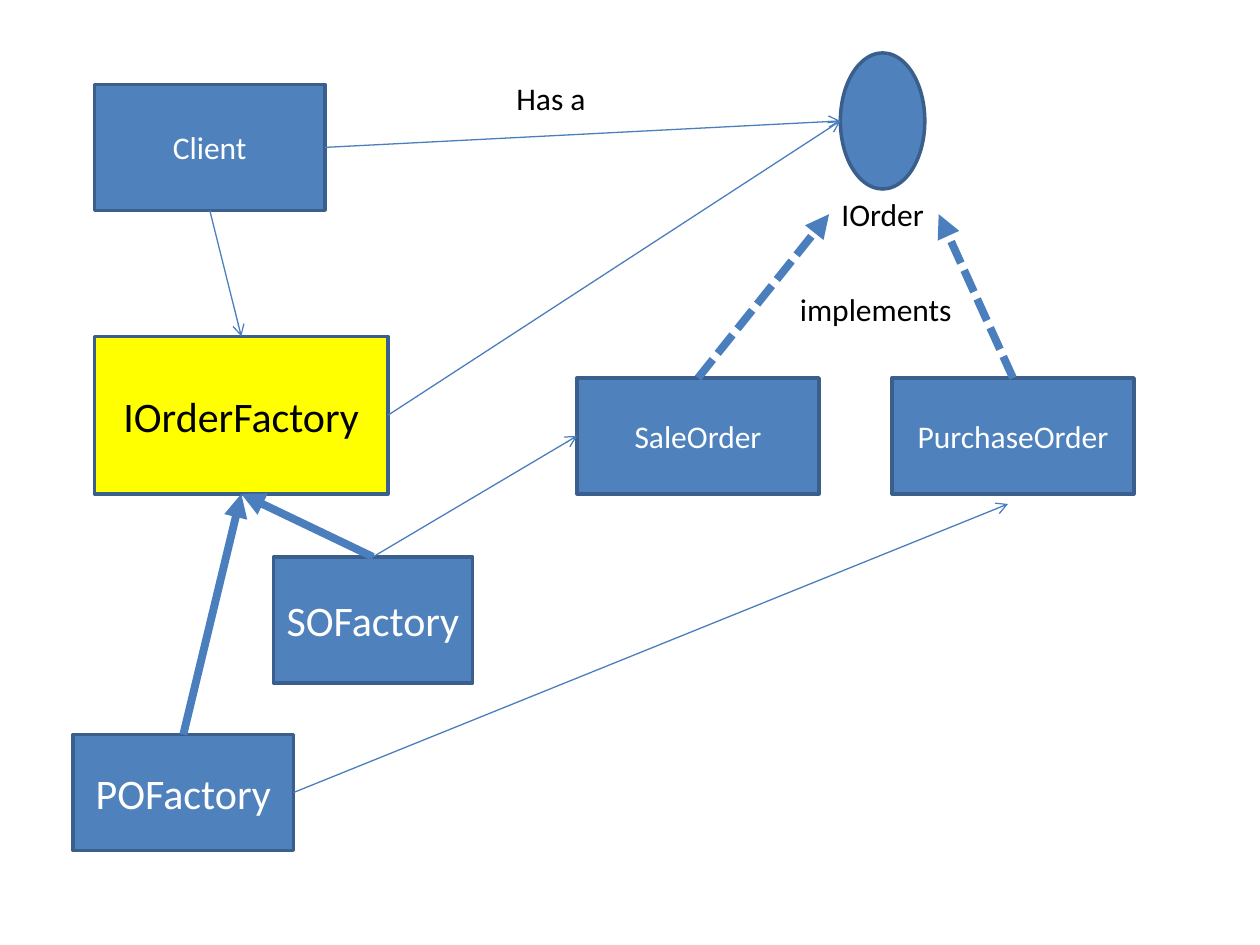
from dataclasses import dataclass

from lxml import etree
from pptx import Presentation
from pptx import util as u
from pptx.dml.color import RGBColor
from pptx.enum import dml, shapes, text
from pptx.oxml import ns


@dataclass(frozen=True)
class Theme:
    font: str = "Calibri"
    blue: str = "4F81BD"
    yellow: str = "FFFF00"
    outline: str = "3A5F8C"
    arrow: str = "4B7EBC"
    black: str = "000000"
    white: str = "FFFFFF"
    small: int = 18
    large: int = 24
    border: float = 2
    thin: float = 0.75
    thick: float = 4.5


theme = Theme()
TOP, LEFT, BOTTOM, RIGHT = range(4)


def write(frame, words, size=theme.small, color=theme.black,
          align=text.PP_ALIGN.LEFT, anchor=text.MSO_ANCHOR.TOP, wrap=True):
    """Put one formatted line of text into a text frame."""
    frame.word_wrap = wrap
    frame.vertical_anchor = anchor
    para = frame.paragraphs[0]
    para.alignment = align
    span = para.add_run()
    span.text = words
    span.font.name = theme.font
    span.font.size = u.Pt(size)
    span.font.color.rgb = RGBColor.from_string(color)


def connect(page, start, end, width=theme.thin, head="arrow", dash=None):
    """Draw an arrow; each end is a (box, side) pair or an (x, y) point in inches."""
    line = page.shapes.add_connector(shapes.MSO_CONNECTOR.STRAIGHT, 0, 0, 0, 0)
    if isinstance(start[0], str):
        line.begin_connect(boxes[start[0]], start[1])
    else:
        line.begin_x, line.begin_y = map(u.Inches, start)
    if isinstance(end[0], str):
        line.end_connect(boxes[end[0]], end[1])
    else:
        line.end_x, line.end_y = map(u.Inches, end)
    line.line.color.rgb = RGBColor.from_string(theme.arrow)
    line.line.width = u.Pt(width)
    if dash:
        line.line.dash_style = dash
    etree.SubElement(line.line._get_or_add_ln(), ns.qn("a:tailEnd"), type=head)
    etree.SubElement(line._element.spPr, ns.qn("a:effectLst"))


deck = Presentation()
deck.slide_width, deck.slide_height = u.Inches(10), u.Inches(7.5)
page = deck.slides.add_slide(deck.slide_layouts[6])

# Interface symbol and classes
rect, oval = shapes.MSO_SHAPE.RECTANGLE, shapes.MSO_SHAPE.OVAL
class_style = (theme.blue, theme.white, theme.small)
factory_style = (theme.blue, theme.white, theme.large)
abstract_style = (theme.yellow, theme.black, theme.large)
boxes = {}
for name, kind, place, (fill, color, size) in [
    ("", oval, (6.67, 0.42, 0.67, 1.08), class_style),
    ("SaleOrder", rect, (4.58, 3, 1.92, 0.92), class_style),
    ("PurchaseOrder", rect, (7.08, 3, 1.92, 0.92), class_style),
    ("Client", rect, (0.75, 0.67, 1.83, 1), class_style),
    ("IOrderFactory", rect, (0.75, 2.67, 2.33, 1.25), abstract_style),
    ("SOFactory", rect, (2.17, 4.42, 1.58, 1), factory_style),
    ("POFactory", rect, (0.58, 5.83, 1.75, 0.92), factory_style),
]:
    box = page.shapes.add_shape(kind, *map(u.Inches, place))
    box.shadow.inherit = False
    box.fill.solid()
    box.fill.fore_color.rgb = RGBColor.from_string(fill)
    box.line.color.rgb = RGBColor.from_string(theme.outline)
    box.line.width = u.Pt(theme.border)
    if name:
        write(box.text_frame, name, size=size, color=color,
              align=text.PP_ALIGN.CENTER, anchor=text.MSO_ANCHOR.MIDDLE)
        boxes[name] = box

# Labels
for words, left, top, width in [
    ("IOrder", 6.58, 1.5, 0.86),
    ("implements", 6.25, 2.25, 1.42),
    ("Has a", 4, 0.58, 0.76),
]:
    label = page.shapes.add_textbox(*map(u.Inches, (left, top, width, 0.4)))
    write(label.text_frame, words, wrap=False)
    label.text_frame.auto_size = text.MSO_AUTO_SIZE.SHAPE_TO_FIT_TEXT

# Uses and creates
interface = (6.67, 0.96)
for start, end in [
    (("Client", RIGHT), interface),
    (("Client", BOTTOM), ("IOrderFactory", TOP)),
    (("IOrderFactory", RIGHT), interface),
    (("SOFactory", TOP), ("SaleOrder", LEFT)),
    (("POFactory", RIGHT), (8, 4)),
]:
    connect(page, start, end)

# Implements and inherits
for name, end, dash in [
    ("SaleOrder", (6.58, 1.7), dml.MSO_LINE.SQUARE_DOT),
    ("PurchaseOrder", (7.45, 1.7), dml.MSO_LINE.SQUARE_DOT),
    ("SOFactory", ("IOrderFactory", BOTTOM), None),
    ("POFactory", ("IOrderFactory", BOTTOM), None),
]:
    connect(page, (name, TOP), end, width=theme.thick, head="triangle", dash=dash)

deck.save("out.pptx")
